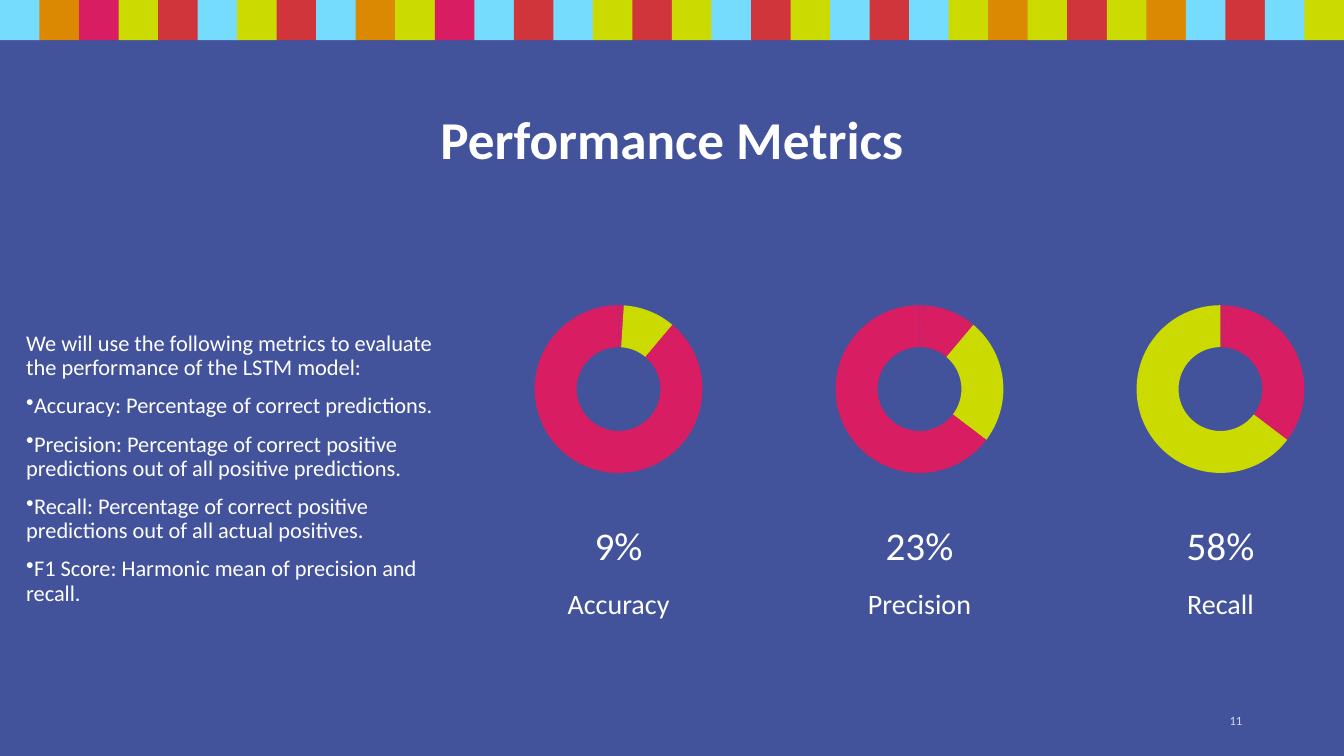
from pptx import Presentation
from pptx.chart.data import CategoryChartData
from pptx.dml.color import RGBColor
from pptx.enum.chart import XL_CHART_TYPE
from pptx.enum.shapes import MSO_SHAPE
from pptx.enum.text import MSO_ANCHOR, PP_ALIGN
from pptx.util import Inches, Pt

NAVY = RGBColor(0x42, 0x52, 0x9B)
WHITE = RGBColor(0xFF, 0xFF, 0xFF)
PALE = RGBColor(0xD6, 0xDB, 0xEE)
BLACK = RGBColor(0x00, 0x00, 0x00)
SKY = RGBColor(0x76, 0xDC, 0xFD)
LIME = RGBColor(0xCB, 0xDA, 0x00)
GOLD = RGBColor(0xDB, 0x88, 0x02)
RED = RGBColor(0xD1, 0x35, 0x3C)
PINK = RGBColor(0xD9, 0x1D, 0x62)

TILES = {"S": SKY, "L": LIME, "G": GOLD, "R": RED, "P": PINK}
BAND = "SGPLRSLRSGLPSRSLRLSRLSRSLGLRLGSRSL"
SHARES = [1, 10, 24, 64]
# Percentage, label, index of the slice in lime
METRICS = [("9%", "Accuracy", 1), ("23%", "Precision", 2), ("58%", "Recall", 3)]
INTRO = "We will use the following metrics to evaluate the performance of the LSTM model:"
POINTS = [
    "Accuracy: Percentage of correct predictions.",
    "Precision: Percentage of correct positive predictions out of all positive predictions.",
    "Recall: Percentage of correct positive predictions out of all actual positives.",
    "F1 Score: Harmonic mean of precision and recall.",
]


def apply(item, values):
    for key, value in values.items():
        setattr(item, key, value)


def box(left, top, width, height):
    return [Inches(n) for n in (left, top, width, height)]


def fill_text(shape, lines, size, color=WHITE, align=PP_ALIGN.CENTER,
              anchor=MSO_ANCHOR.BOTTOM, side=0, bold=False, space=0.9, before=10):
    frame = shape.text_frame
    apply(frame, {"word_wrap": True, "vertical_anchor": anchor,
                  "margin_left": Inches(side), "margin_right": Inches(side),
                  "margin_top": Inches(0.05), "margin_bottom": Inches(0.05)})
    frame.text = "\n".join(lines)
    for para in frame.paragraphs:
        apply(para, {"alignment": align, "line_spacing": space,
                     "space_before": Pt(before)})
        for run in para.runs:
            apply(run.font, {"name": "Calibri", "size": Pt(size), "bold": bold})
            run.font.color.rgb = color
    return frame


def add_text(slide, place, lines, size, **style):
    return fill_text(slide.shapes.add_textbox(*box(*place)), lines, size, **style)


def add_bullet(para):
    props = para._p.get_or_add_pPr()
    mark = props.makeelement(
        "{http://schemas.openxmlformats.org/drawingml/2006/main}buChar", {"char": "•"})
    props.append(mark)


def add_band(slide):
    step = 13.33 / len(BAND)
    for col, code in enumerate(BAND):
        tile = slide.shapes.add_shape(MSO_SHAPE.RECTANGLE, *box(col * step, 0, 0.4, 0.4))
        tile.shadow.inherit = False
        tile.fill.solid()
        tile.fill.fore_color.rgb = TILES[code]
        tile.line.fill.background()


def add_ring(slide, place, lit):
    data = CategoryChartData()
    data.categories = ["1", "2", "3", "4"]
    data.add_series("Series 1", SHARES)
    chart = slide.shapes.add_chart(XL_CHART_TYPE.DOUGHNUT, *box(*place), data).chart
    apply(chart, {"has_legend": False, "has_title": False})
    apply(chart.font, {"name": "Calibri", "size": Pt(10)})
    chart.font.color.rgb = BLACK
    plot = chart.plots[0]
    plot.vary_by_categories = True
    for hole in plot._element.xpath("c:holeSize"):
        hole.set("val", "75")
    for index in range(len(SHARES)):
        look = plot.series[0].points[index].format
        look.fill.solid()
        look.fill.fore_color.rgb = LIME if index == lit else PINK
        look.line.fill.background()


def main():
    deck = Presentation()
    apply(deck, {"slide_width": Inches(13.33), "slide_height": Inches(7.5)})
    slide = deck.slides.add_slide(deck.slide_layouts[5])
    slide.background.fill.solid()
    slide.background.fill.fore_color.rgb = NAVY

    # Coloured band and title
    add_band(slide)
    title = slide.shapes.title
    apply(title, dict(zip(("left", "top", "width", "height"),
                          box(1.54, 0.69, 10.25, 1.45))))
    fill_text(title, ["Performance Metrics"], 38, bold=True, side=0.1,
              anchor=MSO_ANCHOR.MIDDLE, before=0)

    # One ring with its percentage and label per metric
    for col, (share, label, lit) in enumerate(METRICS):
        left = 4.68 + col * 2.985
        add_ring(slide, (left, 2.89, 2.91, 1.94), lit)
        add_text(slide, (left + 0.18, 4.81, 2.55, 0.88), [share], 28)
        add_text(slide, (left + 0.18, 5.72, 2.55, 0.48), [label], 20, space=1.0)

    # Explanation and slide number
    frame = add_text(slide, (0.26, 1.25, 4.25, 4.81), [INTRO] + POINTS, 16,
                     align=PP_ALIGN.LEFT)
    for para in frame.paragraphs[1:]:
        add_bullet(para)
    add_text(slide, (9.42, 6.95, 3, 0.4), ["11"], 9, color=PALE, side=0.1,
             align=PP_ALIGN.RIGHT, anchor=MSO_ANCHOR.MIDDLE, space=1.0, before=0)

    deck.save("out.pptx")


if __name__ == "__main__":
    main()
